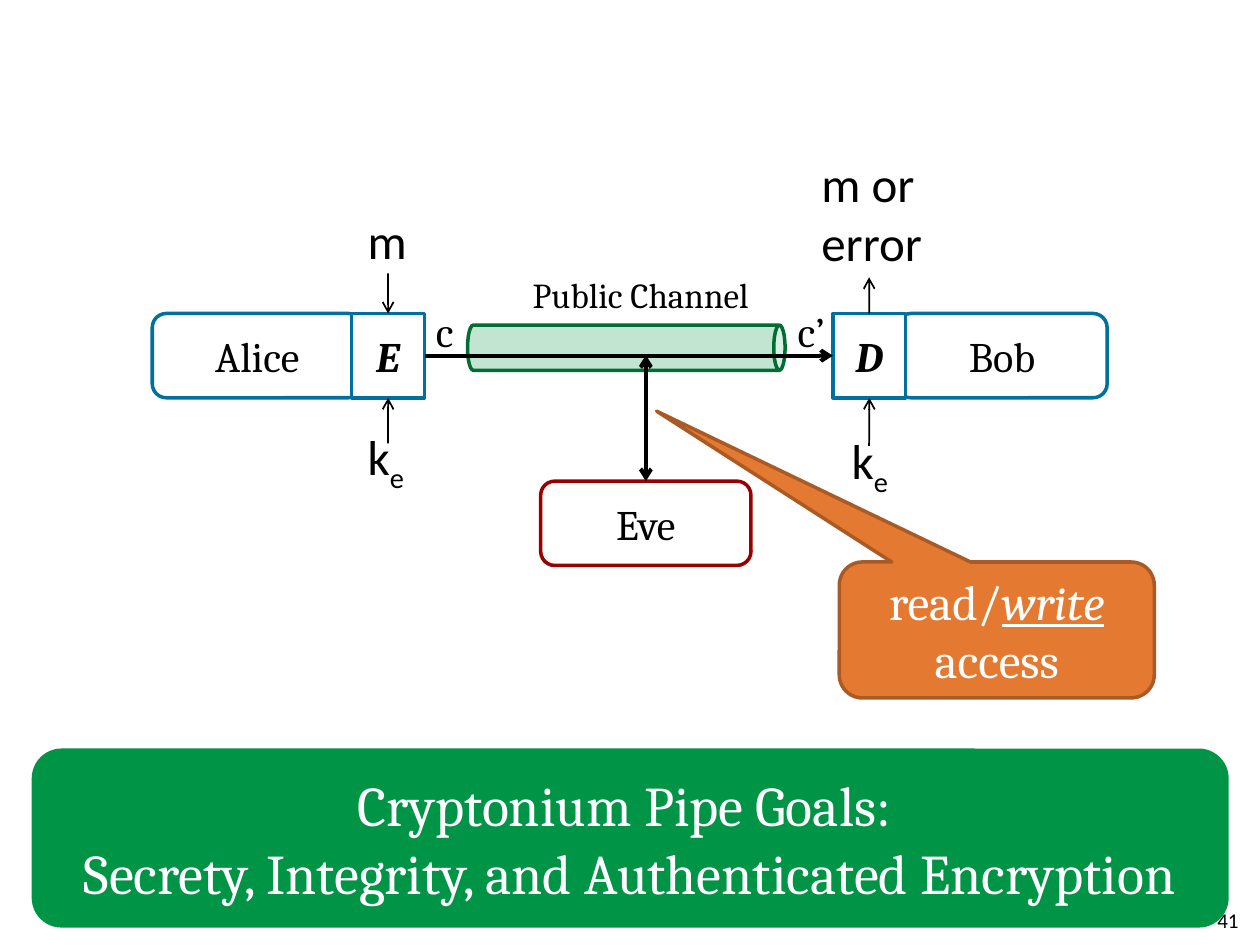
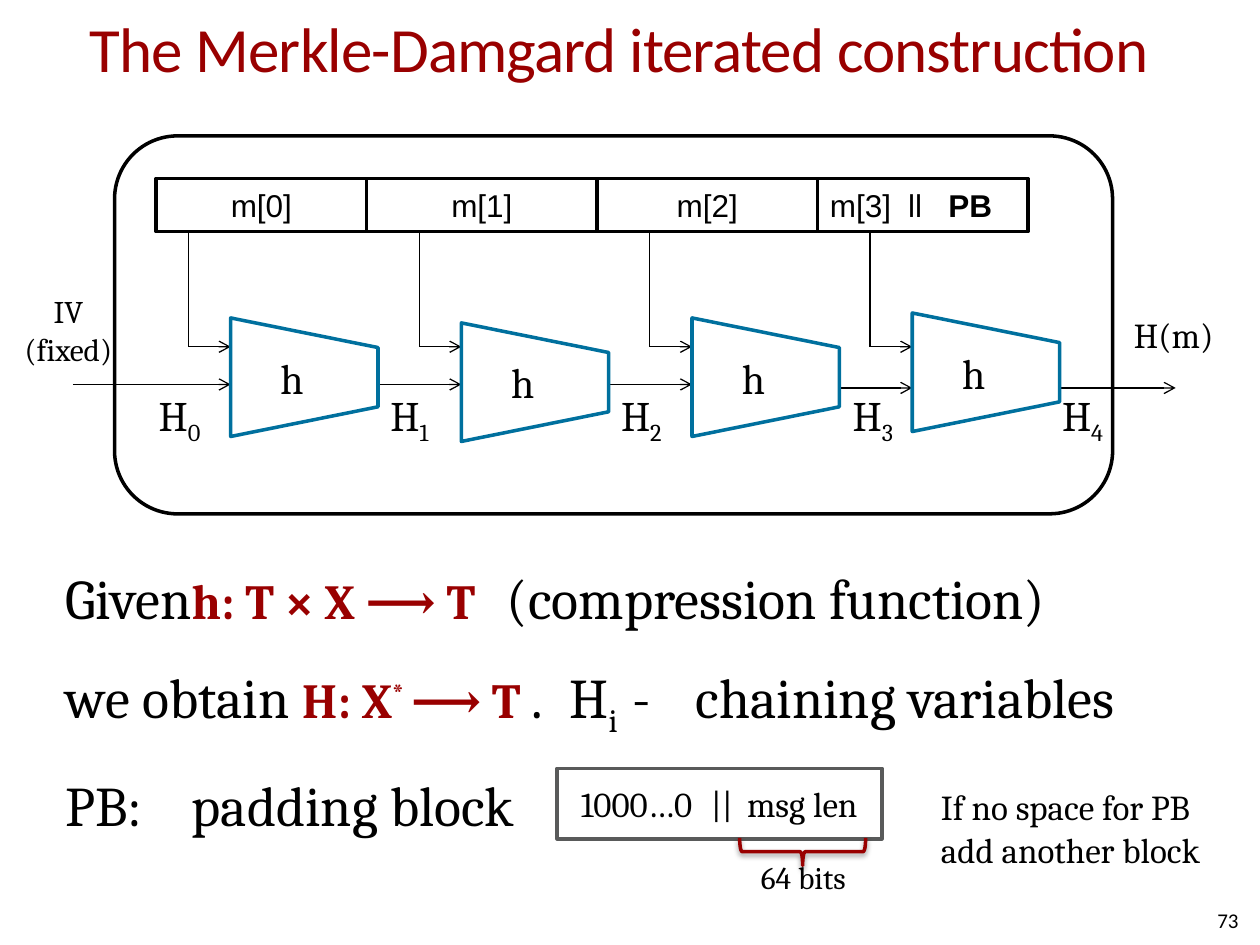
import dataclasses
import itertools
import typing

import lxml.etree
import pptx
import pptx.dml.color
import pptx.enum.shapes
import pptx.enum.text
import pptx.oxml.ns
import pptx.util

Cm = pptx.util.Cm
Pt = pptx.util.Pt
RGBColor = pptx.dml.color.RGBColor
SHAPE = pptx.enum.shapes.MSO_SHAPE
ALIGN = pptx.enum.text.PP_ALIGN
ANCHOR = pptx.enum.text.MSO_ANCHOR
AUTO = pptx.enum.text.MSO_AUTO_SIZE
qn = pptx.oxml.ns.qn

BLACK = RGBColor(0x00, 0x00, 0x00)
WHITE = RGBColor(0xFF, 0xFF, 0xFF)
GREEN = RGBColor(0x00, 0x94, 0x46)
DARK_GREEN = RGBColor(0x00, 0x6D, 0x34)
BLUE = RGBColor(0x00, 0x70, 0x9E)
RED = RGBColor(0x99, 0x00, 0x00)
ORANGE = RGBColor(0xE4, 0x79, 0x32)
BROWN = RGBColor(0xA9, 0x5A, 0x25)
GREY = RGBColor(0x59, 0x5A, 0x5A)

SERIF, SANS, BLOCK_FONT = "Cambria", "Calibri", "Arial"
TOP, LEFT, BOTTOM, RIGHT = range(4)


class Box(typing.NamedTuple):
    left: float
    top: float
    width: float
    height: float


class Joint(typing.NamedTuple):
    shape: typing.Any
    side: int


class Stage(typing.NamedTuple):
    left: float
    top: float
    link_y: float


@dataclasses.dataclass(frozen=True)
class Run:
    text: str
    size: float = 24
    font: str = SERIF
    color: RGBColor = BLACK
    bold: bool = False
    italic: bool = False
    underline: bool = False
    base: int = 0


Lines = list[list[Run]]


def place(sp, box: Box) -> None:
    sp.left, sp.top, sp.width, sp.height = (Cm(v) for v in box)


def add_runs(p, runs: list[Run]) -> None:
    for run in runs:
        for i, part in enumerate(run.text.split("\n")):
            if i:
                p.add_line_break()
            r = p.add_run()
            r.text = part
            f = r.font
            f.size, f.name, f.color.rgb = Pt(run.size), run.font, run.color
            f.bold, f.italic, f.underline = run.bold, run.italic, run.underline
            if run.base:
                r._r.get_or_add_rPr().set("baseline", str(run.base * 1000))


def set_tabs(p, stops: list[float]) -> None:
    tabs = lxml.etree.SubElement(p._p.get_or_add_pPr(), qn("a:tabLst"))
    for stop in stops:
        lxml.etree.SubElement(tabs, qn("a:tab"), pos=str(int(Cm(stop))), algn="l")


def write(tf, lines: Lines, align=ALIGN.LEFT, anchor=ANCHOR.TOP, inset: bool = True,
          wrap: bool = True, tabs: typing.Optional[list[float]] = None) -> None:
    tf.word_wrap = wrap
    tf.vertical_anchor = anchor
    if not inset:
        tf.margin_left = tf.margin_top = tf.margin_right = tf.margin_bottom = 0
    for i, runs in enumerate(lines):
        p = tf.add_paragraph() if i else tf.paragraphs[0]
        p.alignment = align
        if tabs:
            set_tabs(p, tabs)
        add_runs(p, runs)


def add_text(slide, box: Box, lines: Lines, grow: bool = True, **style) -> None:
    sp = slide.shapes.add_textbox(*(Cm(v) for v in box))
    write(sp.text_frame, lines, **style)
    sp.text_frame.auto_size = AUTO.SHAPE_TO_FIT_TEXT if grow else AUTO.NONE


def add_shape(slide, kind, box: Box, fill: typing.Optional[RGBColor] = WHITE,
              line: typing.Optional[RGBColor] = None, runs: typing.Optional[list[Run]] = None,
              rotation: float = 0, align=ALIGN.CENTER, **style):
    sp = slide.shapes.add_shape(kind, *(Cm(v) for v in box))
    sp.shadow.inherit = False
    sp.rotation = rotation
    if fill is None:
        sp.fill.background()
    else:
        sp.fill.solid()
        sp.fill.fore_color.rgb = fill
    if line is None:
        sp.line.fill.background()
    else:
        sp.line.color.rgb = line
        sp.line.width = Pt(2)
    if runs:
        write(sp.text_frame, [runs], align, ANCHOR.MIDDLE, **style)
    return sp


def add_line(slide, start, end, width: float, head: bool = False, tail: bool = True) -> None:
    points = [(0, 0) if isinstance(pt, Joint) else pt for pt in (start, end)]
    cx = slide.shapes.add_connector(
        pptx.enum.shapes.MSO_CONNECTOR.STRAIGHT, *(Cm(v) for pt in points for v in pt))
    if isinstance(start, Joint):
        cx.begin_connect(*start)
    if isinstance(end, Joint):
        cx.end_connect(*end)
    cx.line.color.rgb = BLACK
    cx.line.width = Pt(width)
    ln = cx.line._get_or_add_ln()
    for shown, tag in ((head, "a:headEnd"), (tail, "a:tailEnd")):
        if shown:
            lxml.etree.SubElement(ln, qn(tag), type="arrow")
    lxml.etree.SubElement(cx._element.spPr, qn("a:effectLst"))


def add_page_number(slide, number: str) -> None:
    add_text(slide, Box(19.05, 18.03, 5.92, 1.02), [[Run(number, 12, SANS)]], grow=False,
             align=ALIGN.RIGHT, anchor=ANCHOR.MIDDLE, inset=False)


def build_pipe(prs) -> None:
    slide = prs.slides.add_slide(prs.slide_layouts[6])
    add_shape(slide, SHAPE.ROUNDED_RECTANGLE, Box(0.64, 15.09, 24.13, 3.61), GREEN, inset=False,
              runs=[Run("Cryptonium Pipe Goals: \nSecrety, Integrity, and Authenticated Encryption",
                        32, color=WHITE)])
    add_page_number(slide, "41")

    channel = add_shape(slide, SHAPE.CAN, Box(12.17, 3.81, 0.91, 6.4), GREEN, DARK_GREEN,
                        rotation=90)
    color = channel._element.spPr.find(qn("a:solidFill"))[0]
    lxml.etree.SubElement(color, qn("a:alpha"), val="24000")

    parties = {}
    for name, left, top, line in (("Alice", 3.07, 6.32, BLUE), ("Bob", 18.08, 6.32, BLUE),
                                  ("Eve", 10.9, 9.7, RED)):
        parties[name] = add_shape(slide, SHAPE.ROUNDED_RECTANGLE, Box(left, top, 4.24, 1.7),
                                  line=line, runs=[Run(name)], inset=False)
    enc, dec = (
        add_shape(slide, SHAPE.RECTANGLE, Box(left, 6.32, 1.47, 1.7), line=BLUE,
                  runs=[Run(name, bold=True, italic=True)], inset=False)
        for name, left in (("E", 7.09), ("D", 16.79)))

    add_line(slide, Joint(enc, RIGHT), Joint(dec, LEFT), 2.25)
    add_line(slide, Joint(parties["Eve"], TOP), (13.02, 7.16), 2.25, head=True)
    add_line(slide, (7.82, 5.51), Joint(enc, TOP), 1)
    add_line(slide, (7.82, 8.94), Joint(enc, BOTTOM), 1)
    add_line(slide, (17.52, 8.99), Joint(dec, BOTTOM), 1)
    add_line(slide, Joint(dec, TOP), (17.52, 5.59), 1)

    for box, run in ((Box(10.74, 5.51, 4.52, 0.86), Run("Public Channel", 20)),
                     (Box(8.79, 6.15, 0.38, 1.02), Run("c")),
                     (Box(16.08, 6.15, 0.58, 1.02), Run("c’"))):
        add_text(slide, box, [[run]], inset=False, wrap=False)
    for box, text in ((Box(7.16, 4.11, 1.27, 1.27), "m"),
                      (Box(16.31, 2.97, 2.54, 2.54), "m or \nerror")):
        add_text(slide, box, [[Run(text, 28, SANS)]], grow=False, wrap=False)
    for left, top in ((7.16, 8.48), (16.92, 8.56)):
        add_text(slide, Box(left, top, 1.3, 1.45),
                 [[Run("k", 28, SANS), Run("e", 28, SANS, base=-25)]], wrap=False)

    callout = add_shape(slide, SHAPE.ROUNDED_RECTANGULAR_CALLOUT, Box(16.92, 11.33, 6.35, 2.74),
                        ORANGE, BROWN,
                        [Run("read/", 28, color=WHITE),
                         Run("write", 28, color=WHITE, italic=True, underline=True),
                         Run(" access", 28, color=WHITE)])
    for i, value in enumerate((-1.08, -1.61, 0.17)):
        callout.adjustments[i] = value


def fill_body(body) -> None:
    place(body, Box(1.07, 11.23, 22.66, 7.82))

    def plain(text: str, base: int = 0) -> Run:
        return Run(text, 32, base=base)

    def formula(text: str, base: int = 0) -> Run:
        return Run(text, 28, color=RED, bold=True, base=base)

    lines = [
        ([3.3, 10.73], [plain("Given\t"), formula("h: T × X ⟶ T\t"),
                        plain("(compression function)")]),
        ([10.43, 11.9, 12.77], [plain("we obtain "), formula("H: X"), formula("* ", 30),
                                formula("⟶ T "), plain(".\tH"), plain("i", -25),
                                plain("\t-\tchaining variables")]),
        ([2.51], [plain("PB:\tpadding block")]),
    ]
    tf = body.text_frame
    for i, (tabs, runs) in enumerate(lines):
        p = tf.add_paragraph() if i else tf.paragraphs[0]
        pPr = p._p.get_or_add_pPr()
        pPr.set("marL", "0")
        pPr.set("indent", "0")
        lxml.etree.SubElement(pPr, qn("a:buNone"))
        set_tabs(p, tabs)
        p.space_before = Pt(18.2 if i else 0)
        add_runs(p, runs)


def build_merkle_damgard(prs) -> None:
    slide = prs.slides.add_slide(prs.slide_layouts[1])
    title, body = slide.placeholders
    place(title, Box(0.2, -0.64, 24.56, 3.18))
    write(title.text_frame, [[Run("The Merkle-Damgard iterated construction", 36, SANS, RED)]],
          ALIGN.CENTER, ANCHOR.MIDDLE)
    title.text_frame.margin_left = title.text_frame.margin_right = 0
    title.text_frame.paragraphs[0].runs[0]._r.get_or_add_rPr().set("spc", "-50")
    fill_body(body)

    add_shape(slide, SHAPE.ROUNDED_RECTANGLE, Box(2.31, 2.74, 20.12, 7.62), line=BLACK)

    widths = [4.24, 4.65, 4.44, 4.24]
    lefts = itertools.accumulate(widths[:-1], initial=3.15)
    for i, (left, width) in enumerate(zip(lefts, widths)):
        runs, style = [Run(f"m[{i}]", 18, BLOCK_FONT)], {"wrap": False}
        if i == 3:
            runs = [Run("m[3]\tll\t", 18, BLOCK_FONT), Run("PB", 18, BLOCK_FONT, bold=True)]
            style = {"align": ALIGN.LEFT, "tabs": [1.58, 2.39]}
        add_shape(slide, SHAPE.RECTANGLE, Box(left, 3.6, width, 1.07), line=BLACK, runs=runs,
                  **style)

    stages = [Stage(4.65, 6.12, 7.75), Stage(9.3, 6.22, 7.75),
              Stage(13.95, 6.12, 7.75), Stage(18.39, 6.02, 7.82)]
    link_start = 1.47
    for stage in stages:
        feed = stage.left - 0.85
        add_line(slide, (feed, 4.65), (feed, 6.99), 0.75, tail=False)
        add_line(slide, (feed, 6.99), (stage.left, 6.99), 0.75)
        add_line(slide, (link_start, stage.link_y), (stage.left, stage.link_y), 0.75)
        link_start = stage.left + 2.54
    add_line(slide, (link_start, 7.82), (23.7, 7.82), 0.75)

    add_text(slide, Box(0.2, 5.77, 2.36, 1.8), [[Run("IV", 18)], [Run("(fixed)", 18)]],
             align=ALIGN.CENTER, wrap=False)
    add_text(slide, Box(22.61, 6.2, 2.13, 1.12), [[Run("H(m)", 20)]])
    for i, left in enumerate((2.95, 7.62, 12.27, 16.94, 21.16)):
        add_text(slide, Box(left, 7.72, 1.42, 1.27), [[Run("H"), Run(str(i), base=-25)]])

    padding = add_shape(slide, SHAPE.RECTANGLE, Box(11.23, 15.49, 6.55, 1.42), line=GREY,
                        runs=[Run("1000…0\t||\tmsg len", 20)], align=ALIGN.LEFT,
                        tabs=[2.62, 3.35])
    padding.text_frame.margin_left = Cm(0.48)
    brace = add_shape(slide, SHAPE.RIGHT_BRACE, Box(15.9, 15.9, 0.56, 2.54), None, RED,
                      rotation=90)
    shadow = lxml.etree.SubElement(
        brace._element.spPr.find(qn("a:effectLst")), qn("a:outerShdw"),
        blurRad=str(int(Pt(3.1))), dist=str(int(Pt(1.6))), dir="5400000", rotWithShape="0")
    shade = lxml.etree.SubElement(shadow, qn("a:srgbClr"), val=str(BLACK))
    lxml.etree.SubElement(shade, qn("a:alpha"), val="38000")
    add_text(slide, Box(15.09, 17.17, 2.41, 1.02), [[Run("64 bits", 18)]])
    add_text(slide, Box(18.72, 15.72, 6.05, 1.96),
             [[Run("If no space for PB \nadd another block", 20)]])

    for stage in stages:
        sp = add_shape(slide, SHAPE.TRAPEZOID, Box(stage.left + 0.29, stage.top, 2.39, 2.97),
                       line=BLUE, runs=[Run("h")], rotation=90, inset=False)
        sp.text_frame._txBody.bodyPr.set("vert", "vert270")
    add_page_number(slide, "73")


def main() -> None:
    prs = pptx.Presentation()
    prs.slide_width, prs.slide_height = Cm(25.4), Cm(19.05)
    build_pipe(prs)
    build_merkle_damgard(prs)
    prs.save("out.pptx")


if __name__ == "__main__":
    main()
